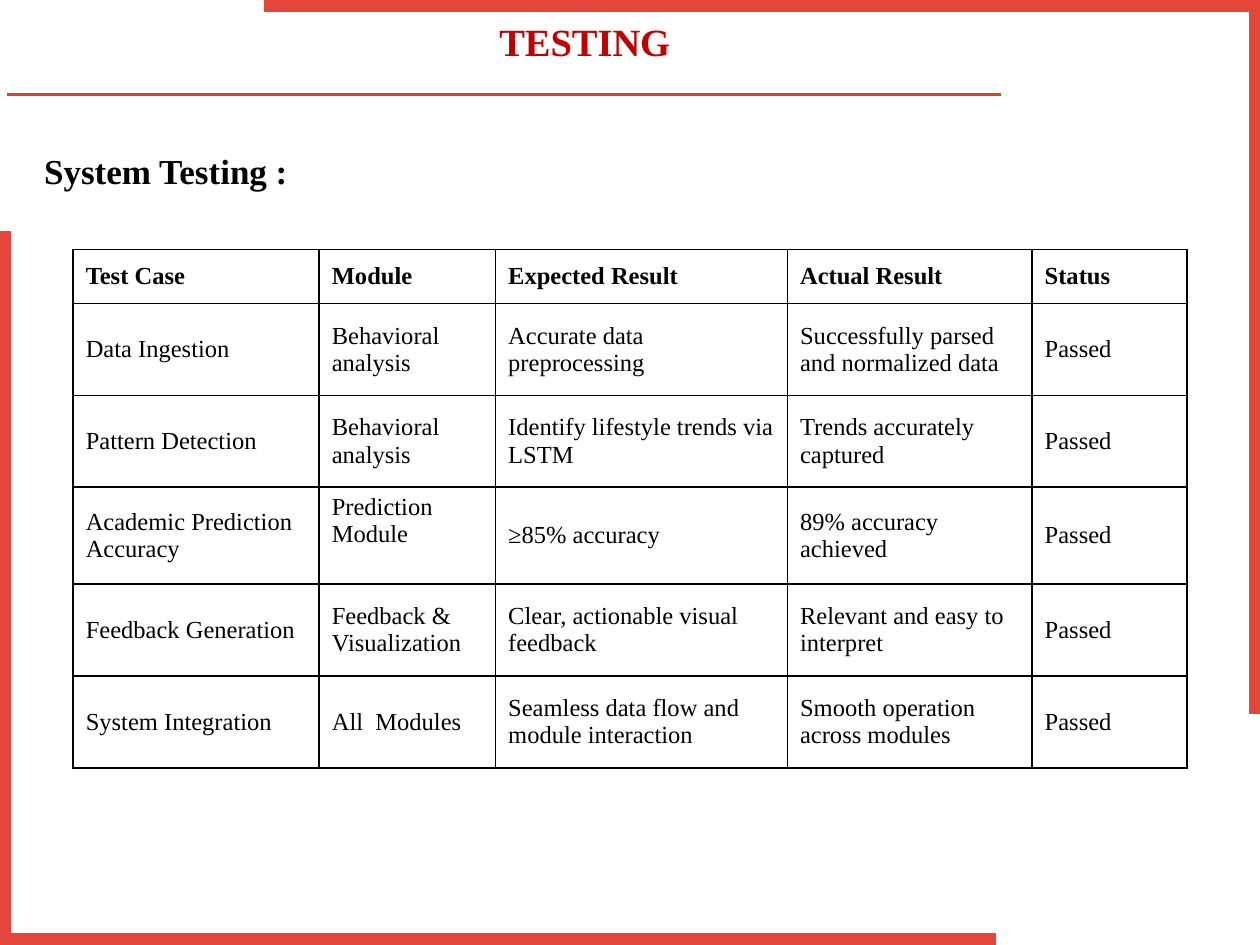
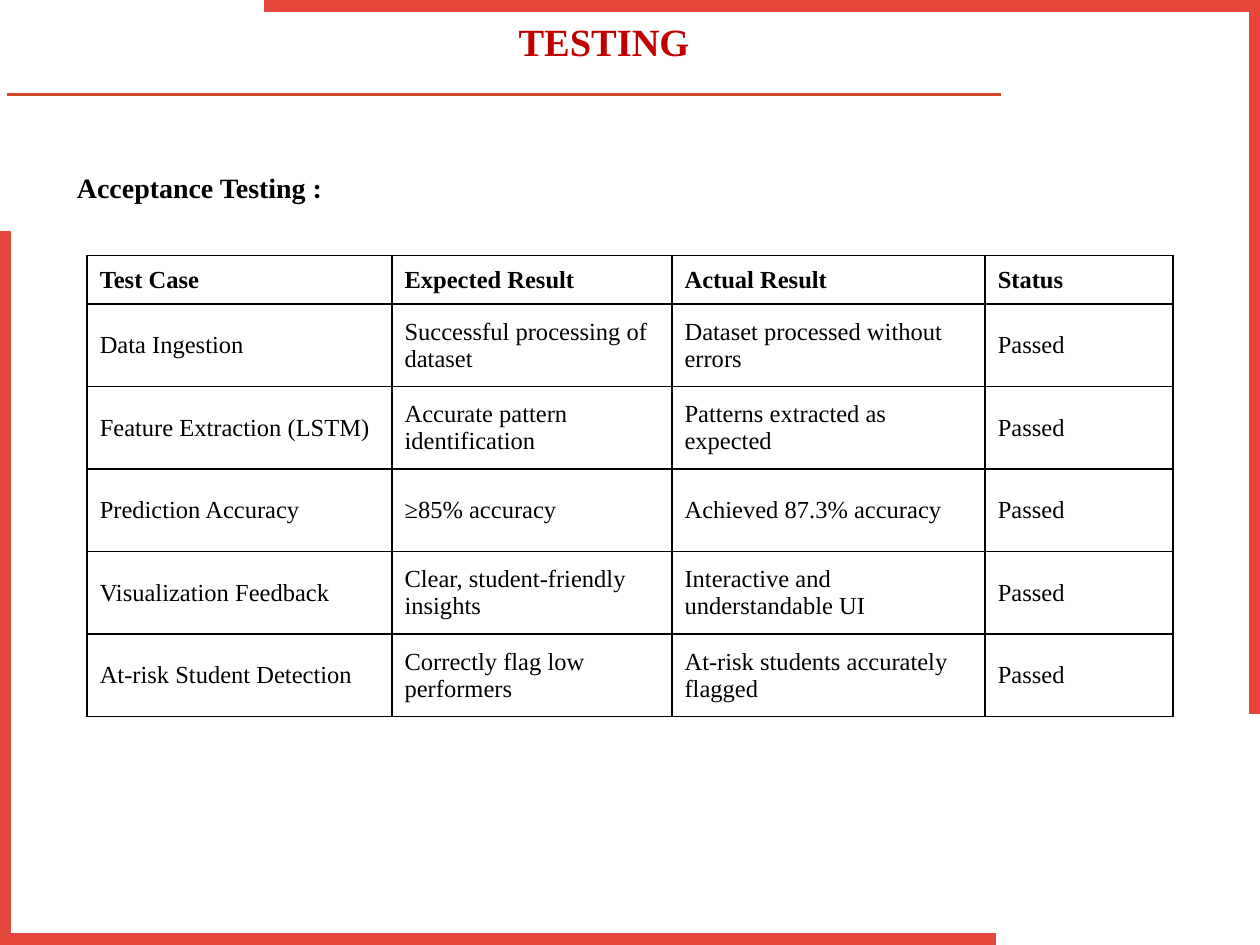
from dataclasses import dataclass

from lxml import etree
from pptx import Presentation
from pptx.dml.color import RGBColor
from pptx.enum import shapes, text
from pptx.oxml import ns
from pptx.util import Pt


@dataclass(frozen=True)
class Theme:
    font: str = "Times New Roman"
    frame: RGBColor = RGBColor(0xE4, 0x46, 0x3B)
    rule: RGBColor = RGBColor(0xD2, 0x47, 0x26)
    title: RGBColor = RGBColor(0xC0, 0x00, 0x00)
    ink: RGBColor = RGBColor(0, 0, 0)
    title_size: int = 22
    cell_size: int = 14


THEME = Theme()
FRAME_BARS = [(151.2, 0, 180), (0, 132.3, 0)]
FRAME_SIZE = (568.8, 407.7)
TITLE_BOX = (80.64, 6.5, 519.8, 37.4)

SLIDES = [
    {
        "title_indent": 197.5,
        "heading": "System Testing :",
        "heading_size": 20,
        "heading_box": (18, 77, 688.3, 432.7),
        "table_at": (41.8, 142.5),
        "columns": [140.6, 100.8, 166.8, 139.8, 88.6],
        "row_heights": [30.9, 52.5, 52.5, 55.4, 52.5, 52.5],
        "top_cells": [(3, 1)],
        "rows": [
            ["Test Case", "Module", "Expected Result", "Actual Result", "Status"],
            ["Data Ingestion", "Behavioral analysis", "Accurate data preprocessing",
             "Successfully parsed and normalized data", "Passed"],
            ["Pattern Detection", "Behavioral analysis", "Identify lifestyle trends via LSTM",
             "Trends accurately captured", "Passed"],
            ["Academic Prediction Accuracy", "Prediction Module", "≥85% accuracy",
             "89% accuracy achieved", "Passed"],
            ["Feedback Generation", "Feedback & Visualization",
             "Clear, actionable visual feedback", "Relevant and easy to interpret", "Passed"],
            ["System Integration", "All  Modules", "Seamless data flow and module interaction",
             "Smooth operation across modules", "Passed"],
        ],
    },
    {
        "title_indent": 208.5,
        "heading": "Acceptance Testing :",
        "heading_size": 16,
        "heading_box": (36.8, 90, 648, 396),
        "table_at": (49.8, 146),
        "columns": [174.2, 160, 179, 107.4],
        "row_heights": [27.8] + [47.15] * 5,
        "top_cells": [],
        "rows": [
            ["Test Case", "Expected Result", "Actual Result", "Status"],
            ["Data Ingestion", "Successful processing of dataset",
             "Dataset processed without errors", "Passed"],
            ["Feature Extraction (LSTM)", "Accurate pattern identification",
             "Patterns extracted as expected", "Passed"],
            ["Prediction Accuracy", "≥85% accuracy", "Achieved 87.3% accuracy", "Passed"],
            ["Visualization Feedback", "Clear, student-friendly insights",
             "Interactive and understandable UI", "Passed"],
            ["At-risk Student Detection", "Correctly flag low performers",
             "At-risk students accurately flagged", "Passed"],
        ],
    },
]


def set_all(obj, values):
    for name, value in values.items():
        setattr(obj, name, value)


def pts(values):
    return [Pt(v) for v in values]


def style_font(font, size, color, bold):
    set_all(font, {"name": THEME.font, "size": Pt(size), "bold": bold})
    font.color.rgb = color


def fill_placeholder(sp, box, words, size, color, spacing, after=0, indent=0,
                     anchor=text.MSO_ANCHOR.TOP):
    set_all(sp, dict(zip(("left", "top", "width", "height"), pts(box))))
    tf = sp.text_frame
    set_all(tf, {"text": words, "word_wrap": True, "vertical_anchor": anchor,
                 "auto_size": text.MSO_AUTO_SIZE.NONE})
    p = tf.paragraphs[0]
    pPr = p._p.get_or_add_pPr()
    pPr.set("marL", str(Pt(indent)))
    pPr.set("indent", "0")
    etree.SubElement(pPr, ns.qn("a:buNone"))
    set_all(p, {"alignment": text.PP_ALIGN.LEFT, "line_spacing": spacing,
                "space_before": Pt(0), "space_after": Pt(after)})
    style_font(p.runs[0].font, size, color, True)


def add_frame(s):
    for left, top, rotation in FRAME_BARS:
        sp = s.shapes.add_shape(shapes.MSO_SHAPE.CORNER, *pts((left, top) + FRAME_SIZE))
        sp.adjustments[0], sp.adjustments[1] = 0.016, 0.014
        sp.rotation = rotation
        sp.shadow.inherit = False
        sp.fill.solid()
        sp.fill.fore_color.rgb = THEME.frame
        sp.line.color.rgb = THEME.frame
        sp.line.width = Pt(1)


def add_title_rule(s):
    rule = s.shapes.add_connector(shapes.MSO_CONNECTOR.STRAIGHT, *pts((3.8, 54, 571.8, 54)))
    rule.line.color.rgb = THEME.rule
    rule.line.width = Pt(2)
    etree.SubElement(rule._element.spPr, ns.qn("a:effectLst"))


def add_borders(cell):
    tcPr = cell._tc.get_or_add_tcPr()
    for side in ("lnL", "lnR", "lnT", "lnB"):
        ln = etree.SubElement(tcPr, ns.qn(f"a:{side}"), w=str(Pt(1)))
        fill = etree.SubElement(ln, ns.qn("a:solidFill"))
        etree.SubElement(fill, ns.qn("a:srgbClr"), val=str(THEME.ink))


def add_test_table(s, at, columns, row_heights, rows, top_cells):
    size = (sum(columns), sum(row_heights))
    table = s.shapes.add_table(len(rows), len(columns), *pts(at + size)).table
    set_all(table, {"first_row": False, "horz_banding": False})
    for column, width in zip(table.columns, columns):
        column.width = Pt(width)
    for i, (row, height) in enumerate(zip(table.rows, row_heights)):
        row.height = Pt(height)
        for j, words in enumerate(rows[i]):
            cell = row.cells[j]
            add_borders(cell)
            cell.fill.background()
            top = (i, j) in top_cells
            set_all(cell, {"text": words, "vertical_anchor":
                           text.MSO_ANCHOR.TOP if top else text.MSO_ANCHOR.MIDDLE})
            r = cell.text_frame.paragraphs[0].runs[0]
            style_font(r.font, THEME.cell_size, THEME.ink, i == 0)


def add_testing_slide(prs, content):
    s = prs.slides.add_slide(prs.slide_layouts[1])
    add_title_rule(s)
    add_frame(s)
    fill_placeholder(s.placeholders[1], content["heading_box"], content["heading"],
                     content["heading_size"], THEME.ink, 1.2, after=9)
    fill_placeholder(s.shapes.title, TITLE_BOX, "TESTING", THEME.title_size, THEME.title,
                     0.9, indent=content["title_indent"], anchor=text.MSO_ANCHOR.MIDDLE)
    add_test_table(s, content["table_at"], content["columns"], content["row_heights"],
                   content["rows"], content["top_cells"])


def main():
    prs = Presentation()
    set_all(prs, {"slide_width": Pt(720), "slide_height": Pt(540)})
    for content in SLIDES:
        add_testing_slide(prs, content)
    prs.save("out.pptx")


if __name__ == "__main__":
    main()
